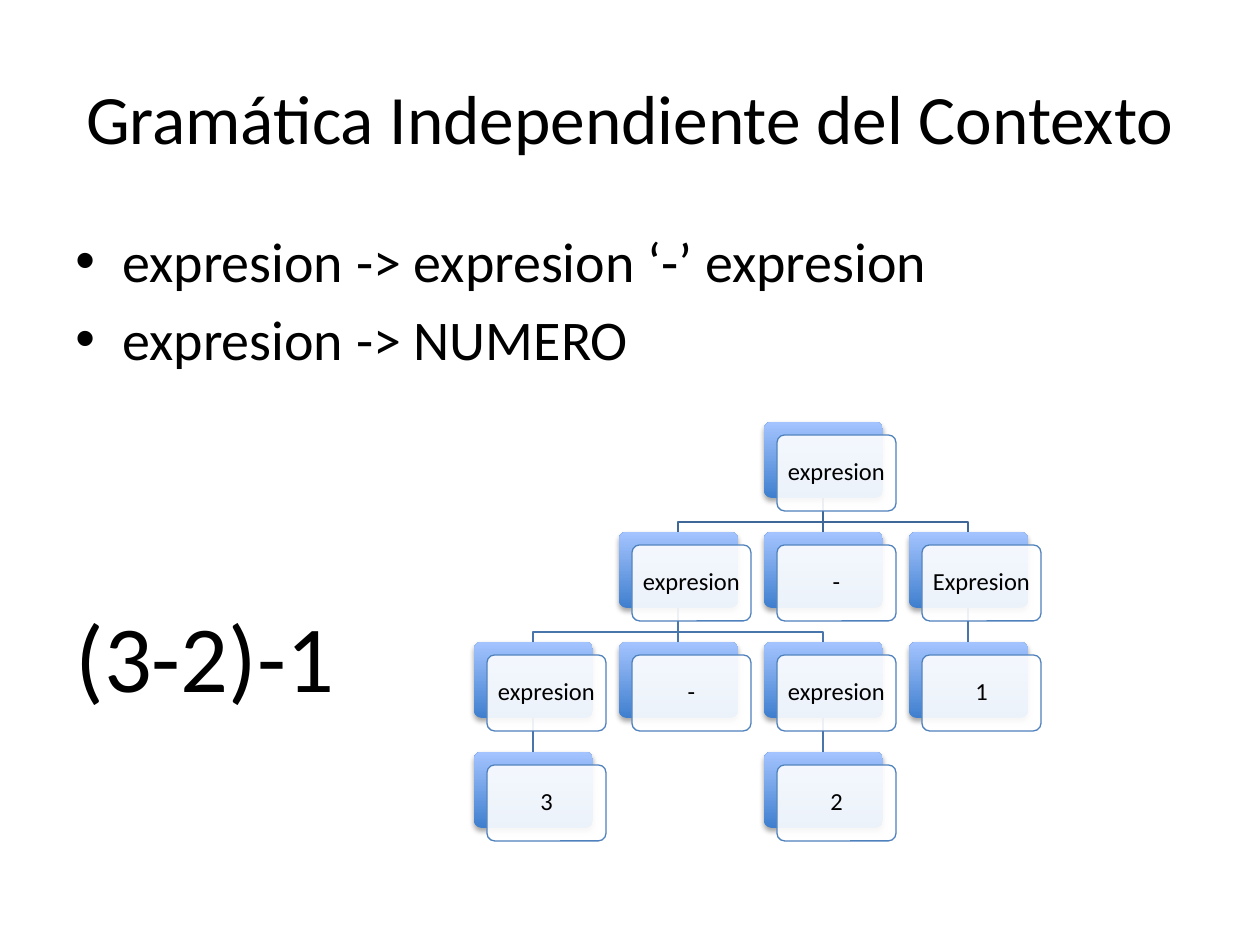
from lxml.etree import SubElement
from pptx import Presentation
from pptx.dml.color import RGBColor
from pptx.enum.shapes import MSO_CONNECTOR, MSO_SHAPE
from pptx.enum.text import MSO_ANCHOR, PP_ALIGN
from pptx.oxml.ns import qn
from pptx.util import Inches, Pt

PX = 7257  # EMU per px, 126 px to the inch
rgb = RGBColor.from_string


def write(tf, lines, size, align=PP_ALIGN.LEFT, anchor=MSO_ANCHOR.TOP,
          wrap=True, inset=None, spacing=None, before=None, bullet=None):
    tf.word_wrap = wrap
    tf.vertical_anchor = anchor
    if inset is not None:
        tf.margin_left = tf.margin_right = inset * PX
        tf.margin_top = tf.margin_bottom = inset * PX
    for i, line in enumerate(lines):
        p = tf.add_paragraph() if i else tf.paragraphs[0]
        p.alignment = align
        p.line_spacing = spacing
        if before is not None:
            p.space_before = Pt(before)
        r = p.add_run()
        r.text = line
        r.font.size = Pt(size)
        r.font.name = "Calibri"
        r.font.color.rgb = rgb("000000")
        if bullet:
            pPr = p._p.get_or_add_pPr()
            pPr.set("marL", str(47 * PX))
            pPr.set("indent", str(-47 * PX))
            SubElement(pPr, qn("a:buFont"), typeface="Arial")
            SubElement(pPr, qn("a:buChar"), char=bullet)


prs = Presentation()
prs.slide_width, prs.slide_height = Inches(10), Inches(7.5)
s = prs.slides.add_slide(prs.slide_layouts[5])

# Title
title = s.shapes.title
title.left, title.top, title.width, title.height = (n * PX for n in (63, 38, 1134, 157))
write(title.text_frame, ["Gramática Independiente del Contexto"], 39.6,
      align=PP_ALIGN.CENTER, anchor=MSO_ANCHOR.MIDDLE)

# Grammar rules
rules = s.shapes.add_textbox(63 * PX, 220 * PX, 1134 * PX, 181 * PX)
write(rules.text_frame, ["expresion -> expresion ‘-’ expresion", "expresion -> NUMERO"],
      32, before=6.4, bullet="•")

# Parse tree: nodes as (column, row, text), edges as (column, row, child column)
LEFT, TOP, COL, ROW = 474, 422, 145, 110
W, H, OFFSET, BEND = 119, 76, 13, 24
nodes = [(2, 0, "expresion"),
         (1, 1, "expresion"), (2, 1, "-"), (3, 1, "Expresion"),
         (0, 2, "expresion"), (1, 2, "-"), (2, 2, "expresion"), (3, 2, "1"),
         (0, 3, "3"), (2, 3, "2")]
edges = [(2, 0, 1), (2, 0, 2), (2, 0, 3),
         (1, 1, 0), (1, 1, 1), (1, 1, 2), (3, 1, 3),
         (0, 2, 0), (2, 2, 2)]

# Branches
for col, row, child in edges:
    x1, x2 = (LEFT + c * COL + W // 2 for c in (col, child))
    y1, y2 = TOP + row * ROW + H, TOP + (row + 1) * ROW
    if x1 == x2:
        sp = s.shapes.add_connector(MSO_CONNECTOR.STRAIGHT, x1 * PX, y1 * PX, x2 * PX, y2 * PX)
        SubElement(sp._element.spPr, qn("a:effectLst"))
    else:
        builder = s.shapes.build_freeform(x1, y1, scale=PX)
        builder.add_line_segments([(x1, y1 + BEND), (x2, y1 + BEND), (x2, y2)], close=False)
        sp = builder.convert_to_shape()
        sp.fill.background()
        sp.shadow.inherit = False
    sp.line.color.rgb = rgb("4875AC" if row else "3F6797")
    sp.line.width = Pt(0.75)

# Nodes: a shaded card behind a translucent one that holds the text
for col, row, text in nodes:
    x, y = LEFT + col * COL, TOP + row * ROW
    back, front = (s.shapes.add_shape(MSO_SHAPE.ROUNDED_RECTANGLE, (x + d) * PX, (y + d) * PX,
                                      W * PX, H * PX) for d in (0, OFFSET))
    for sp in (back, front):
        sp.adjustments[0] = 0.1
        sp.shadow.inherit = False

    back.fill.gradient()
    back.fill.gradient_angle = 90
    for stop, color in zip(back.fill.gradient_stops, ("3F7FCE", "A4C4FF")):
        stop.color.rgb = rgb(color)
    back.line.fill.background()
    effects = back._element.spPr.find(qn("a:effectLst"))
    shadow = SubElement(effects, qn("a:outerShdw"), blurRad=str(Pt(3.1)), dist=str(Pt(1.8)),
                        dir="5400000", rotWithShape="0")
    SubElement(SubElement(shadow, qn("a:srgbClr"), val="000000"), qn("a:alpha"), val="35000")

    front.fill.solid()
    front.fill.fore_color.rgb = rgb("FFFFFF")
    white = front._element.spPr.find(qn("a:solidFill")).find(qn("a:srgbClr"))
    SubElement(white, qn("a:alpha"), val="90000")
    front.line.color.rgb = rgb("4F81BD")
    front.line.width = Pt(0.75)
    write(front.text_frame, [text], 14, align=PP_ALIGN.CENTER, anchor=MSO_ANCHOR.MIDDLE,
          inset=4, spacing=0.9)

# Parsed expression
sample = s.shapes.add_textbox(63 * PX, 592 * PX, 287 * PX, 127 * PX)
write(sample.text_frame, ["(3-2)-1"], 54, wrap=False)

prs.save("out.pptx")
